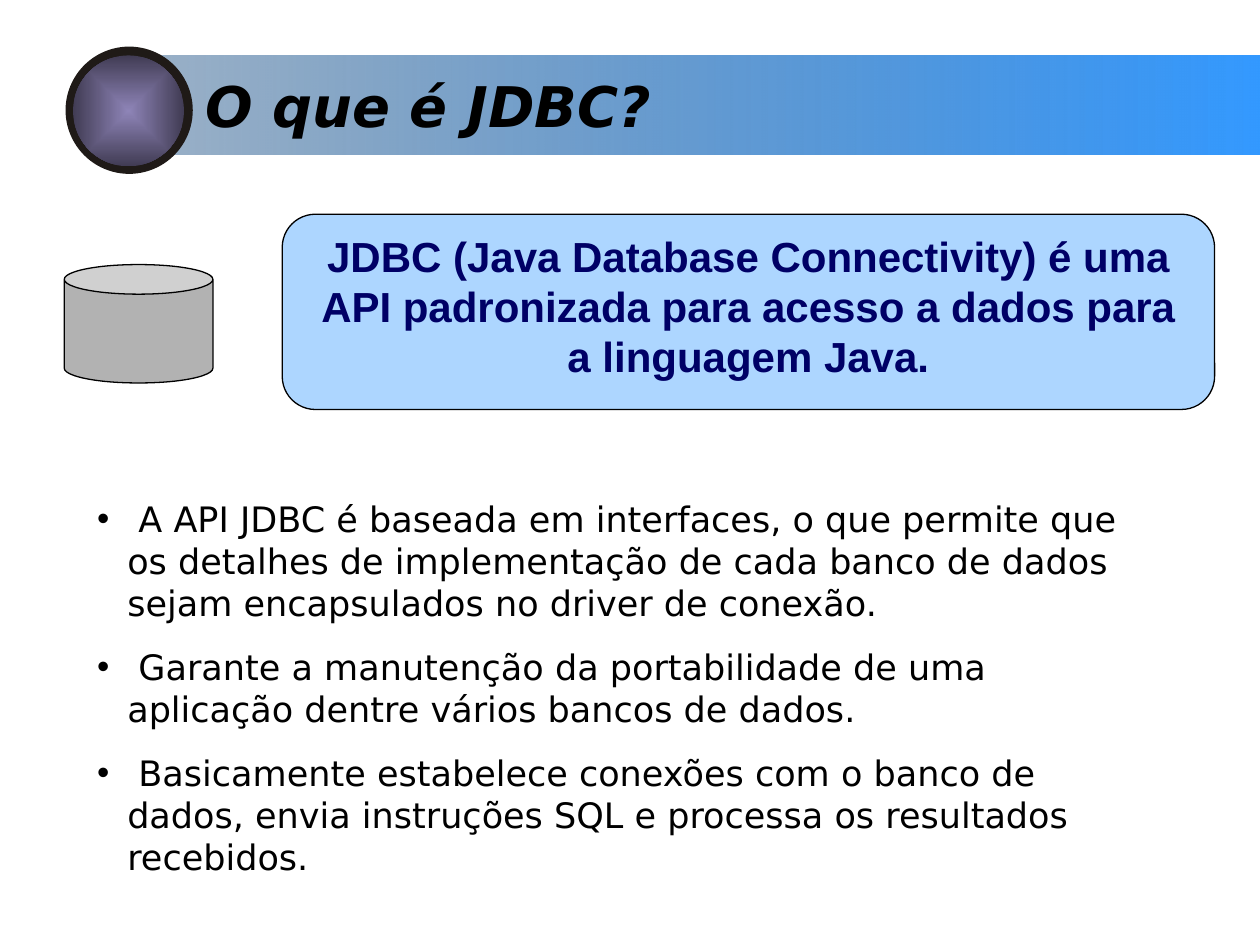
from dataclasses import dataclass

from lxml import etree
from pptx import Presentation
from pptx.dml.color import RGBColor
from pptx.enum.shapes import MSO_SHAPE
from pptx.enum.text import MSO_ANCHOR, MSO_AUTO_SIZE, PP_ALIGN
from pptx.oxml import parse_xml
from pptx.oxml.ns import nsdecls, qn
from pptx.util import Inches, Pt

RECT = MSO_SHAPE.RECTANGLE
ROUND = MSO_SHAPE.ROUNDED_RECTANGLE
DONUT = MSO_SHAPE.DONUT
OVAL = MSO_SHAPE.OVAL
CAN = MSO_SHAPE.CAN
TOP = MSO_ANCHOR.TOP
FIXED = MSO_AUTO_SIZE.NONE
LEFT = PP_ALIGN.LEFT
CENTER = PP_ALIGN.CENTER


@dataclass(frozen=True)
class Theme:
    """Colours, fonts and type sizes of the slide."""
    ink: str = "000000"
    navy: str = "000066"
    blue: str = "3399FF"
    deep: str = "194D81"
    ring: str = "1F1A17"
    lilac: str = "8E84B7"
    plum: str = "413C54"
    gray: str = "B2B2B2"
    sans: str = "DejaVu Sans"
    arial: str = "Arial"
    head: int = 32
    lead: int = 24
    body: int = 20


THEME = Theme()
TITLE = "O que é JDBC?"
LEAD = ("JDBC (Java Database Connectivity) é uma API padronizada "
        "para acesso a dados para a linguagem Java.")
POINTS = [
    " A API JDBC é baseada em interfaces, o que permite que os detalhes de "
    "implementação de cada banco de dados sejam encapsulados no driver de conexão.",
    " Garante a manutenção da portabilidade de uma aplicação dentre vários "
    "bancos de dados.",
    " Basicamente estabelece conexões com o banco de dados, envia instruções "
    "SQL e processa os resultados recebidos.",
]


def place(shape, box):
    """Move and size a shape to a box in inches."""
    shape.left, shape.top, shape.width, shape.height = map(Inches, box)


def add_form(slide, kind, box, fill=None, line=None, adj=None):
    """Add a preset shape with plain fill and thin line."""
    form = slide.shapes.add_shape(kind, *map(Inches, box))
    form.shadow.inherit = False
    if adj is not None:
        form.adjustments[0] = adj
    if fill:
        form.fill.solid()
        form.fill.fore_color.rgb = RGBColor.from_string(fill)
    if line:
        form.line.color.rgb = RGBColor.from_string(line)
        form.line.width = Pt(0.75)
    else:
        form.line.fill.background()
    return form


def set_alpha(form, color, share):
    """Make one fill colour of a shape see-through."""
    for node in form.fill._xPr.iter(qn("a:srgbClr")):
        if node.get("val") == color:
            etree.SubElement(node, qn("a:alpha")).set("val", str(share * 1000))
            return


def set_blend(form, first, last, angle=0):
    """Fill a shape with a two-colour linear gradient."""
    form.fill.gradient()
    form.fill.gradient_angle = angle
    for stop, color in zip(form.fill.gradient_stops, (first, last)):
        stop.color.rgb = RGBColor.from_string(color)


def set_glow(form, first, last):
    """Fill a shape with a gradient that spreads from its centre."""
    set_blend(form, first, last)
    lin = form.fill._xPr.find(".//" + qn("a:lin"))
    lin.getparent().replace(lin, parse_xml(
        f'<a:path {nsdecls("a")} path="rect">'
        '<a:fillToRect l="50000" t="50000" r="50000" b="50000"/></a:path>'))


def set_text(shape, lines, font, size, color, bold=False, slant=False, align=LEFT):
    """Write paragraphs into a shape and format their runs."""
    frame = shape.text_frame
    frame.text = "\n".join(lines)
    frame.word_wrap = True
    frame.auto_size = FIXED
    frame.vertical_anchor = TOP
    for para in frame.paragraphs:
        para.alignment = align
        para.space_before = Pt(0)
        for run in para.runs:
            run.font.name = font
            run.font.size = Pt(size)
            run.font.bold = bold
            run.font.italic = slant
            run.font.color.rgb = RGBColor.from_string(color)


def set_bullets(shape, indent, gap):
    """Give every paragraph a round bullet and a hanging indent."""
    for para in shape.text_frame.paragraphs:
        para.space_before = Pt(gap)
        props = para._p.get_or_add_pPr()
        props.set("marL", str(Inches(indent)))
        props.set("indent", str(-Inches(indent)))
        etree.SubElement(props, qn("a:buChar")).set("char", "•")


def add_banner(slide):
    """Add the fading bar with the title and the orb."""
    bar = add_form(slide, RECT, (1.22, 0.44, 8.78, 0.79))
    set_blend(bar, THEME.blue, THEME.deep, 180)
    set_alpha(bar, THEME.deep, 44)
    title = slide.shapes.title
    place(title, (1.53, 0.52, 8.47, 0.64))
    set_text(title, [TITLE], THEME.sans, THEME.head, THEME.ink, True, True)
    title._element.addprevious(bar._element)
    add_form(slide, DONUT, (0.52, 0.37, 1.01, 1.01), THEME.ring, adj=0.12)
    orb = add_form(slide, OVAL, (0.58, 0.44, 0.88, 0.88))
    set_glow(orb, THEME.lilac, THEME.plum)


def add_lead(slide):
    """Add the rounded box with the definition."""
    card = add_form(slide, ROUND, (2.24, 1.7, 7.4, 1.55),
                    THEME.blue, THEME.ink, 0.17)
    set_alpha(card, THEME.blue, 40)
    set_text(card, [LEAD], THEME.arial, THEME.lead, THEME.navy, True, align=CENTER)


def add_points(slide):
    """Fill the body placeholder with the bullet list."""
    body = slide.placeholders[1]
    place(body, (0.67, 3.9, 8.66, 2.78))
    set_text(body, POINTS, THEME.sans, THEME.body, THEME.ink)
    set_bullets(body, 0.24, 12.5)


def main():
    """Build the slide and save it."""
    deck = Presentation()
    deck.slide_width, deck.slide_height = Inches(10), Inches(7.5)
    slide = deck.slides.add_slide(deck.slide_layouts[1])
    add_banner(slide)
    add_lead(slide)
    add_points(slide)
    add_form(slide, CAN, (0.51, 2.1, 1.18, 0.94), THEME.gray, THEME.ink, 0.25)
    deck.save("out.pptx")


if __name__ == "__main__":
    main()
